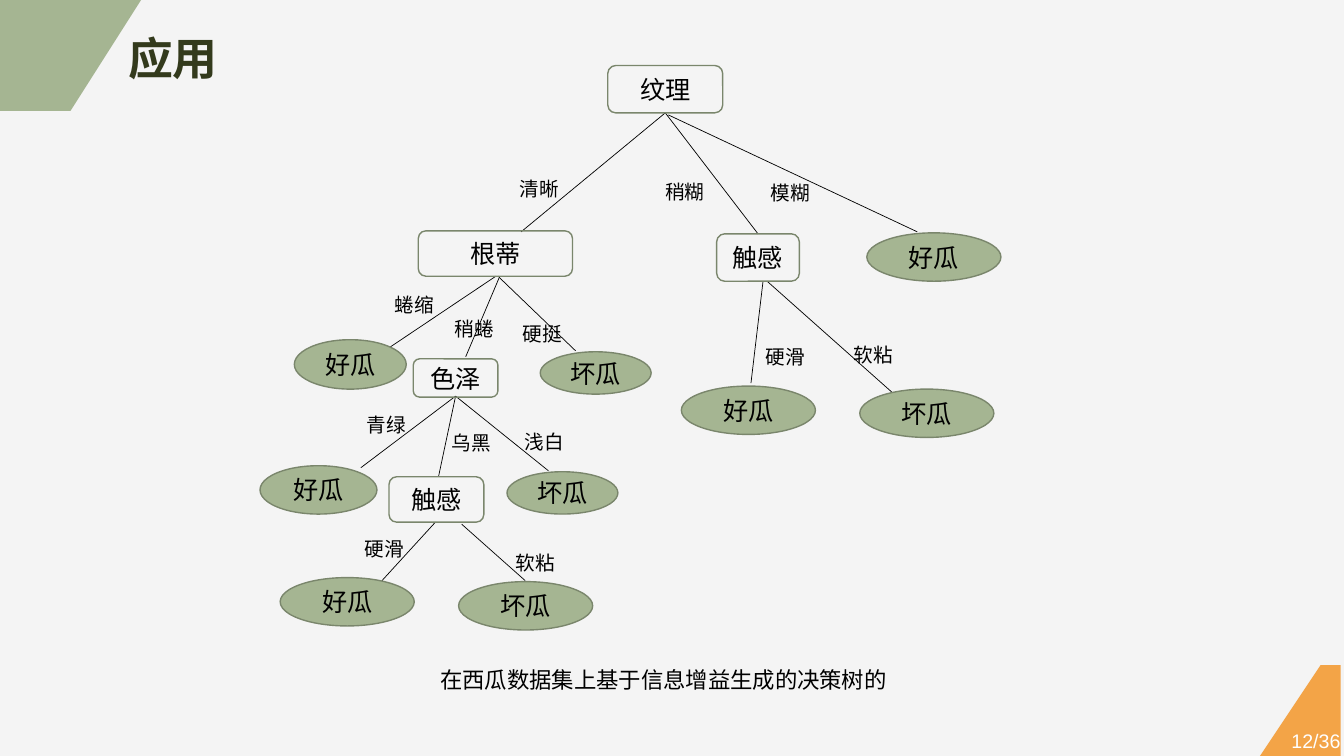
from pptx import Presentation
from pptx.dml.color import RGBColor
from pptx.enum.shapes import MSO_CONNECTOR, MSO_SHAPE
from pptx.enum.text import MSO_ANCHOR, MSO_AUTO_SIZE, PP_ALIGN
from pptx.util import Inches, Pt
from lxml import etree

COLORS = {
    "paper": "F4F4F4", "sage": "A5B592", "outline": "7A866C", "orange": "F3A447",
    "title": "333A1C", "ink": "000000", "white": "FFFFFF",
}
PALETTE = {name: RGBColor.from_string(value) for name, value in COLORS.items()}
DRAWING_NS = "http://schemas.openxmlformats.org/drawingml/2006/main"
CELL = Inches(0.1)  # the slide is a grid of 133.3 columns by 75 rows


def cells(*counts):
    return [round(count * CELL) for count in counts]


def write(shape, text, size=14, color="ink", bold=False, align=PP_ALIGN.LEFT,
          anchor=MSO_ANCHOR.TOP, wrap=True, margins=(1, 0.5)):
    frame = shape.text_frame
    frame.text = text
    frame.word_wrap = wrap
    frame.auto_size = MSO_AUTO_SIZE.NONE
    frame.vertical_anchor = anchor
    frame.margin_left = frame.margin_right = cells(margins[0])[0]
    frame.margin_top = frame.margin_bottom = cells(margins[1])[0]
    paragraph = frame.paragraphs[0]
    paragraph.alignment = align
    font = paragraph.runs[0].font
    font.name, font.size, font.bold = "Arial", Pt(size), bold
    font.color.rgb = PALETTE[color]


deck = Presentation()
deck.slide_width, deck.slide_height = cells(133.33, 75)
slide = deck.slides.add_slide(deck.slide_layouts[5])
shapes = slide.shapes
slide.background.fill.solid()
slide.background.fill.fore_color.rgb = PALETTE["paper"]

# Slanted corners
corners = [
    ("sage", [(0, 0), (13.9, 0), (6.6, 11.4), (0, 11.4)]),
    ("orange", [(130.9, 66.3), (133.3, 66.3), (133.3, 75), (125.4, 75)]),
]
for color, points in corners:
    outline = shapes.build_freeform(*points[0], scale=CELL)
    outline.add_line_segments(points[1:], close=True)
    corner = outline.convert_to_shape()
    corner.shadow.inherit = False
    corner.fill.solid()
    corner.fill.fore_color.rgb = PALETTE[color]
    corner.line.fill.background()

# Title and page number
title = shapes.title
title.left, title.top, title.width, title.height = cells(11.7, 2.5, 11, 6.4)
write(title, "应用", size=32, color="title", bold=True, wrap=False)
page_number = shapes.add_textbox(*cells(126.4, 71.9, 8.3, 3.1))
write(page_number, "12/36", color="white", align=PP_ALIGN.CENTER, margins=(0.7, 0.4))

# Branches: start, end, answer, place of the answer
branches = [
    ((66, 11.2), (51.7, 23), "清晰", (50.6, 17.1)),
    ((66, 11.2), (75.2, 23.2), "稍糊", (65, 17.4)),
    ((66.3, 11.4), (91, 23), "模糊", (75.5, 17.5)),
    ((49.2, 27.4), (38.6, 34.5), "蜷缩", (38.2, 28.6)),
    ((49.5, 27.6), (46.2, 35.4), "稍蜷", (44.1, 30.9)),
    ((49.4, 27.4), (57.1, 34.8), "硬挺", (50.9, 31.4)),
    ((75.7, 27.9), (74.5, 38), "硬滑", (75, 33.7)),
    ((76.1, 27.9), (88.7, 39.1), "软粘", (83.7, 33.5)),
    ((45.2, 39.3), (35.8, 46.4), "青绿", (35.4, 40.5)),
    ((45.2, 39.3), (43.5, 47.3), "乌黑", (43.8, 42.3)),
    ((45.2, 39.3), (54.4, 46.7), "浅白", (51.1, 42.2)),
    ((43.2, 51.8), (37.9, 57.6), "硬滑", (35.2, 52.8)),
    ((45.8, 52), (52.1, 57.6), "软粘", (50.2, 54.2)),
]
for start, end, answer, place in branches:
    branch = shapes.add_connector(MSO_CONNECTOR.STRAIGHT, *cells(*start, *end))
    branch.line.color.rgb = PALETTE["ink"]
    branch.line.width = Pt(0.5)
    etree.SubElement(branch._element.spPr, f"{{{DRAWING_NS}}}effectLst")
    write(shapes.add_textbox(*cells(*place, 9, 3.4)), answer)

# Questions are rounded boxes, verdicts are filled ellipses
questions = [
    ("纹理", (60.3, 6.5, 11.4, 4.7)),
    ("根蒂", (41.5, 22.9, 15.3, 4.5)),
    ("触感", (71.1, 23.2, 8.2, 4.7)),
    ("色泽", (41, 35.6, 8.4, 3.8)),
    ("触感", (38.6, 47.3, 9.4, 4.5)),
]
verdicts = [
    ("好瓜", (86, 23.1, 13.3, 4.8)),
    ("好瓜", (29.2, 33.7, 11.1, 4.9)),
    ("坏瓜", (53.6, 34.9, 11, 4.2)),
    ("好瓜", (67.6, 38.3, 13.3, 4.8)),
    ("坏瓜", (85.3, 38.6, 13.3, 4.8)),
    ("好瓜", (25.8, 46.2, 11.6, 4.8)),
    ("坏瓜", (50.3, 46.8, 11, 4.2)),
    ("好瓜", (27.8, 57.3, 13.3, 4.8)),
    ("坏瓜", (45.5, 57.7, 13.3, 4.8)),
]
for outline_kind, nodes in ((MSO_SHAPE.ROUNDED_RECTANGLE, questions), (MSO_SHAPE.OVAL, verdicts)):
    for text, box in nodes:
        node = shapes.add_shape(outline_kind, *cells(*box))
        node.shadow.inherit = False
        if nodes is verdicts:
            node.fill.solid()
            node.fill.fore_color.rgb = PALETTE["sage"]
        else:
            node.fill.background()
        node.line.color.rgb = PALETTE["outline"]
        node.line.width = Pt(1)
        write(node, text, size=18, align=PP_ALIGN.CENTER, anchor=MSO_ANCHOR.MIDDLE)

# Caption
caption = shapes.add_textbox(*cells(42.7, 65.6, 49.6, 3.7))
write(caption, "在西瓜数据集上基于信息增益生成的决策树的", size=16)

deck.save("out.pptx")
